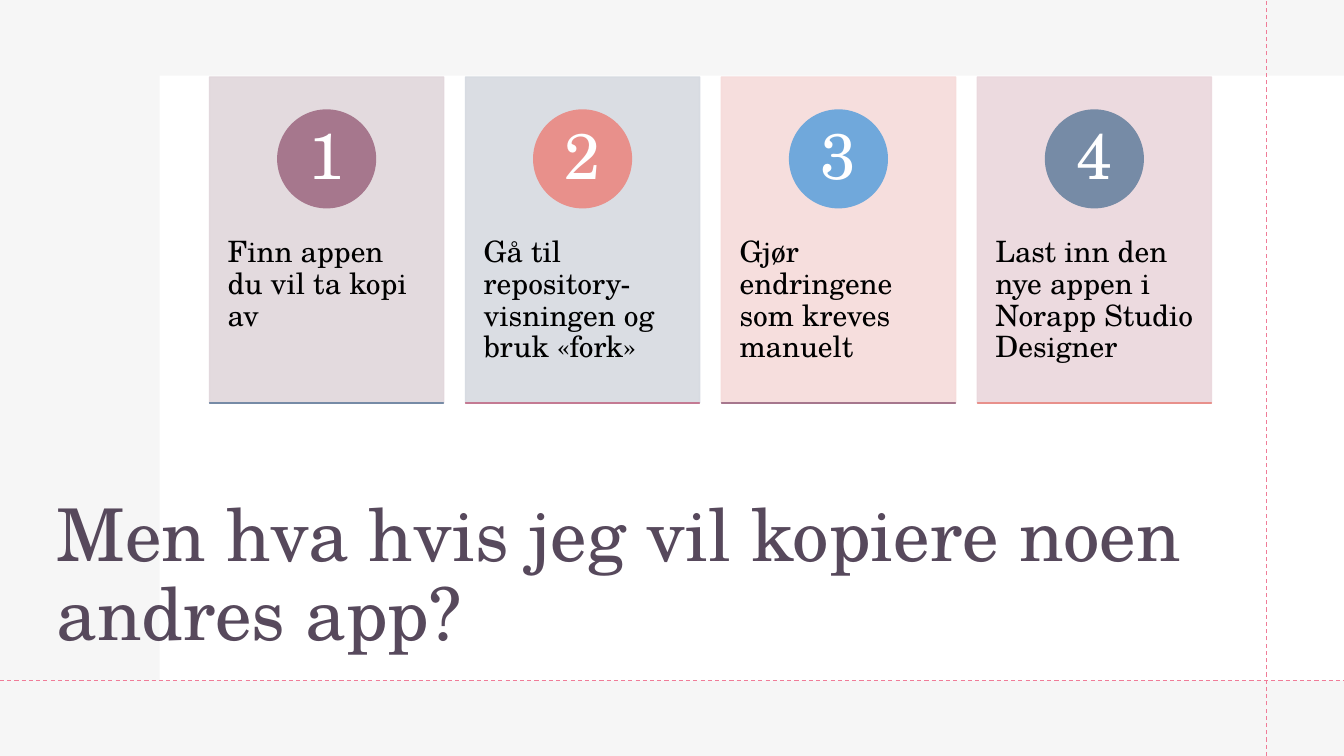
from lxml.etree import SubElement
from pptx import Presentation
from pptx.dml.color import RGBColor
from pptx.enum.dml import MSO_LINE
from pptx.enum.shapes import MSO_CONNECTOR, MSO_SHAPE
from pptx.enum.text import MSO_ANCHOR, PP_ALIGN
from pptx.oxml.ns import qn
from pptx.util import Pt

WIDE, HIGH = 960, 540
FONT = "TeX Gyre Schola"
# Text, card fill, disc fill, rule colour
STEPS = [
    ("Finn appen du vil ta kopi av", "E1D6DB", "A6778D", "768BA6"),
    ("Gå til repository-visningen og bruk «fork»", "D6DAE1", "E8908B", "C47A93"),
    ("Gjør endringene som kreves manuelt", "F6DBDA", "70A8DB", "A6778D"),
    ("Last inn den nye appen i Norapp Studio Designer", "EAD7DC", "768BA6", "E8908B"),
]
BODY = {"size": Pt(21), "color": "000000", "align": PP_ALIGN.LEFT,
        "anchor": MSO_ANCHOR.TOP, "inset": (13, 26)}
DIGIT = {"size": Pt(46), "color": "FFFFFF", "align": PP_ALIGN.CENTER,
         "anchor": MSO_ANCHOR.MIDDLE, "inset": (6, 1)}
TITLE = {"size": Pt(52), "color": "57495C", "align": PP_ALIGN.LEFT,
         "anchor": MSO_ANCHOR.BOTTOM, "inset": (7.2, 3.6)}


def paint(part, color, alpha=100):
    """Set a solid colour, in percent of opacity, on a fill."""
    part.solid()
    part.fore_color.rgb = RGBColor.from_string(color)
    if alpha < 100:
        node = part._xPr.find(qn("a:solidFill"))[0]
        SubElement(node, qn("a:alpha"), val=str(alpha * 1000))


def add_form(slide, kind, box, color, alpha=100, edge=True):
    form = slide.shapes.add_shape(kind, *map(Pt, box))
    form.shadow.inherit = False
    paint(form.fill, color, alpha)
    if edge:
        form.line.width = Pt(1)
        paint(form.line.fill, color, alpha)
    else:
        form.line.fill.background()


def add_text(slide, box, text, style):
    frame = slide.shapes.add_textbox(*map(Pt, box)).text_frame
    side, end = map(Pt, style["inset"])
    look = {"word_wrap": True, "vertical_anchor": style["anchor"],
            "margin_left": side, "margin_right": side,
            "margin_top": end, "margin_bottom": end}
    for name, value in look.items():
        setattr(frame, name, value)
    para = frame.paragraphs[0]
    para.alignment, para.line_spacing = style["align"], 0.9
    run = para.add_run()
    run.text = text
    for name, value in {"name": FONT, "size": style["size"]}.items():
        setattr(run.font, name, value)
    paint(run.font.fill, style["color"])


def add_dash(slide, *ends):
    dash = slide.shapes.add_connector(MSO_CONNECTOR.STRAIGHT, *map(Pt, ends))
    for name, value in {"width": Pt(0.75), "dash_style": MSO_LINE.DASH}.items():
        setattr(dash.line, name, value)
    paint(dash.line.fill, "F07C98")
    SubElement(dash._element.spPr, qn("a:effectLst"))


def add_back(slide, left, top, wide, high):
    # Grey ground, white panel
    add_form(slide, MSO_SHAPE.RECTANGLE, (left, top, wide, high), "E7E6E6", 35, False)
    add_form(slide, MSO_SHAPE.RECTANGLE, (left + 114, top + 54, wide - 114, high - 108),
             "FFFFFF", edge=False)


def add_card(slide, box, number, step):
    left, top, wide, high = box
    text, tint, tone, rule = step
    # Card and its text
    add_form(slide, MSO_SHAPE.RECTANGLE, box, tint, 90)
    add_text(slide, (left, top + 88.4, wide, 139.6), text, BODY)
    # Numbered disc
    disc, inner = 69.8, 49.4
    mid, gap = left + wide / 2, (disc - inner) / 2
    add_form(slide, MSO_SHAPE.OVAL, (mid - disc / 2, top + 23.6, disc, disc), tone)
    add_text(slide, (mid - inner / 2, top + 23.6 + gap, inner, inner), str(number), DIGIT)
    # Bottom rule
    add_form(slide, MSO_SHAPE.RECTANGLE, (left, top + high, wide, 0), rule)


def add_row(slide, left, top, wide, high):
    gap = 15.5
    size = (wide - gap * (len(STEPS) - 1)) / len(STEPS)
    for i, step in enumerate(STEPS):
        add_card(slide, (left + i * (size + gap), top, size, high), i + 1, step)


def main():
    deck = Presentation()
    deck.slide_width, deck.slide_height = Pt(WIDE), Pt(HIGH)
    slide = deck.slides.add_slide(deck.slide_layouts[6])
    add_back(slide, 0, 0, WIDE, HIGH)
    add_text(slide, (33.4, 328.3, 854.6, 144), "Men hva hvis jeg vil kopiere noen andres app?", TITLE)
    # Dashed guides
    add_dash(slide, 905, HIGH, 905, 0)
    add_dash(slide, 0, 486, WIDE, 486)
    add_row(slide, 149.7, 55, 715.7, 232.8)
    deck.save("out.pptx")


if __name__ == "__main__":
    main()
